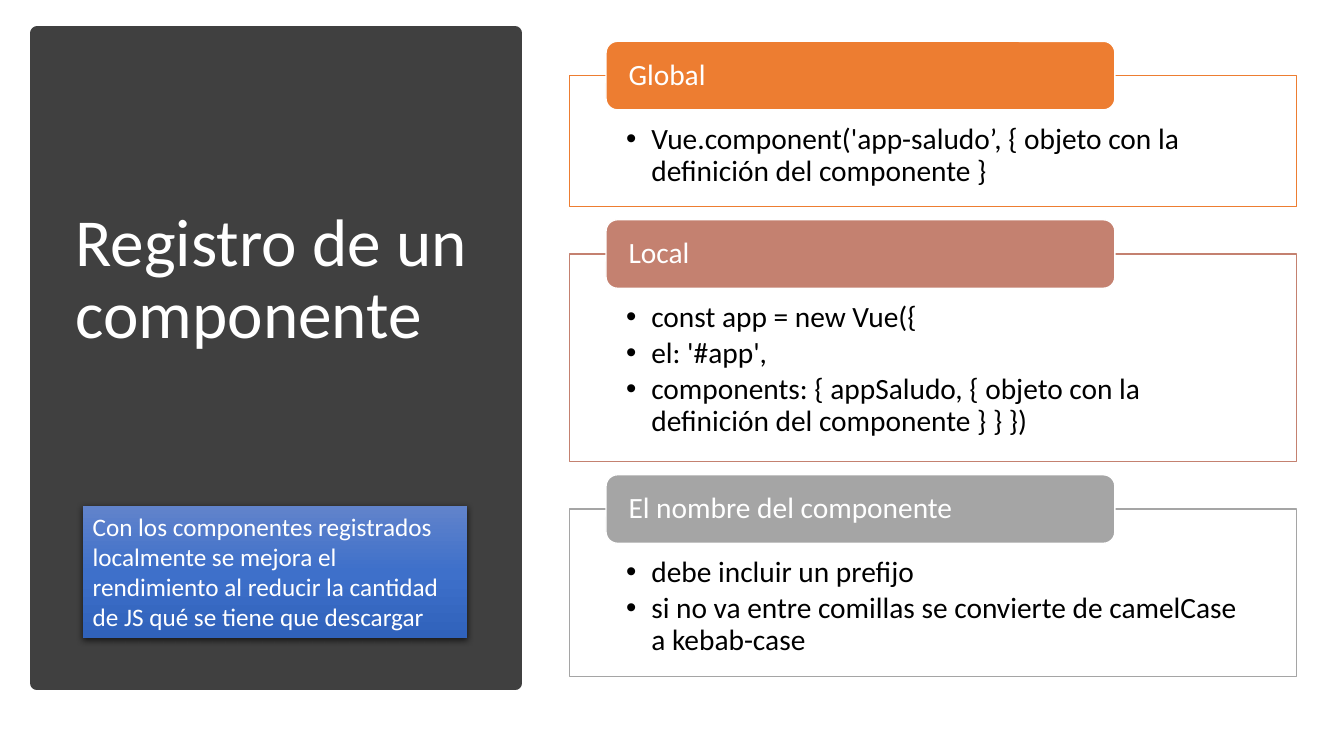
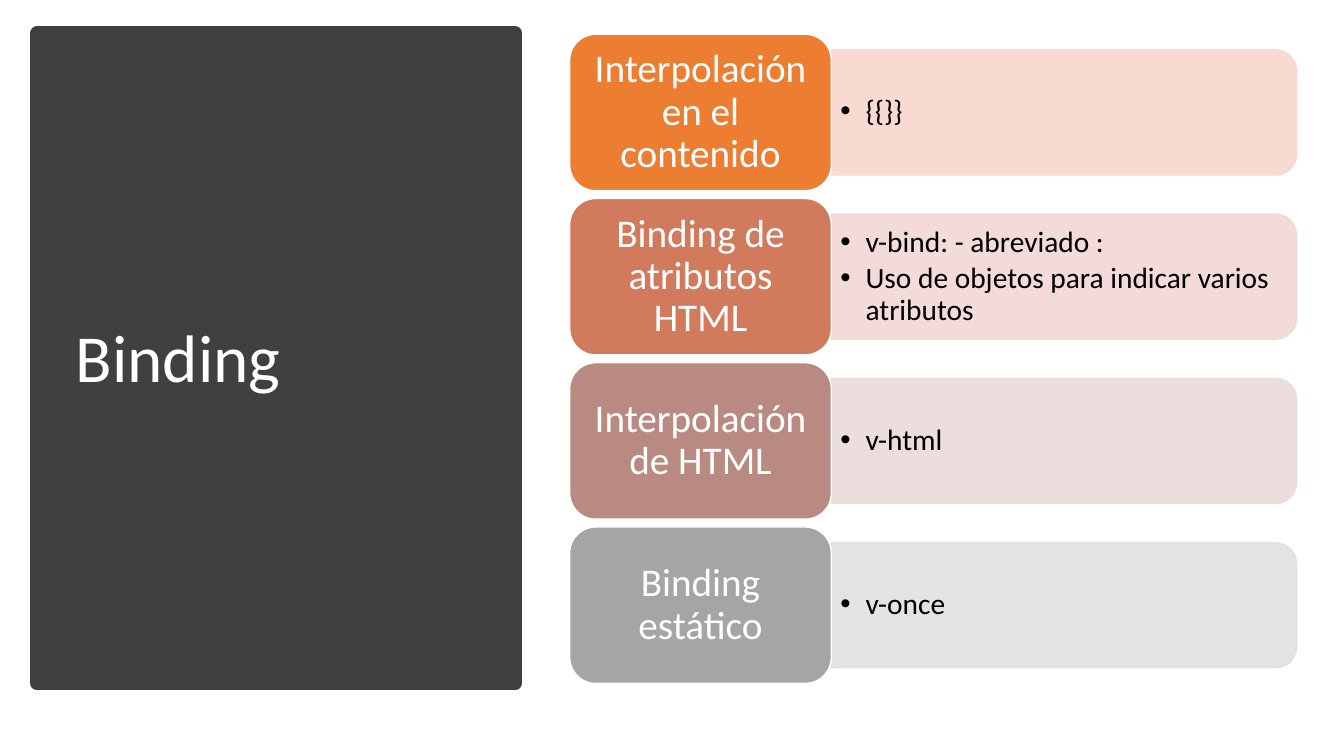
from collections import namedtuple

from lxml import etree
from pptx import Presentation
from pptx import util as u
from pptx.dml.color import RGBColor
from pptx.enum import shapes, text
from pptx.oxml import parse_xml
from pptx.oxml.ns import nsdecls, qn

WHITE = RGBColor(0xFF, 0xFF, 0xFF)
BLACK = RGBColor(0x00, 0x00, 0x00)
DARK = RGBColor(0x40, 0x40, 0x40)
ORANGE = RGBColor(0xED, 0x7D, 0x31)
TERRACOTTA = RGBColor(0xD1, 0x7B, 0x5C)
ROSE = RGBColor(0xC4, 0x81, 0x70)
MAUVE = RGBColor(0xB9, 0x8A, 0x82)
GRAY = RGBColor(0xA5, 0xA5, 0xA5)
PALE_ORANGE = RGBColor(0xF8, 0xD7, 0xCE)
PALE_TERRACOTTA = RGBColor(0xF1, 0xD8, 0xD4)
PALE_MAUVE = RGBColor(0xE9, 0xDB, 0xDA)
PALE_GRAY = RGBColor(0xE1, 0xE1, 0xE1)
NOTE_GRADIENT = [(0, "6183CB"), (50, "3E70CA"), (100, "3062BB")]

FONT = "Calibri"
MIDDLE, TOP = text.MSO_ANCHOR.MIDDLE, text.MSO_ANCHOR.TOP
LEFT, CENTER = text.PP_ALIGN.LEFT, text.PP_ALIGN.CENTER
KIND = shapes.MSO_SHAPE

# Regions in inches
Box = namedtuple("Box", "x y w h")
SLIDE = Box(0, 0, 13.33, 7.5)
BAND = Box(0.37, 0.33, 4.74, 6.45)
CARDS = Box(5.65, 0.41, 7.21, 6.29)
ROWS = Box(5.65, 0.34, 7.21, 6.44)
NOTE = Box(0.82, 5.02, 3.81, 1.31)


def emu(box):
    return [u.Inches(v) for v in box]


def add_shape(slide, kind, box, fill, line, width=1):
    sp = slide.shapes.add_shape(kind, *emu(box))
    sp.shadow.inherit = False
    sp.fill.solid()
    sp.fill.fore_color.rgb = fill
    sp.line.color.rgb = line
    sp.line.width = u.Pt(width)
    return sp


def set_alpha(sp, percent):
    for color in sp._element.spPr.iter(qn("a:srgbClr")):
        etree.SubElement(color, qn("a:alpha"), val=str(percent * 1000))


def add_bullet(p):
    pPr = p._p.get_or_add_pPr()
    pPr.set("marL", str(u.Inches(0.25)))
    pPr.set("indent", str(-u.Inches(0.25)))
    etree.SubElement(pPr, qn("a:buFont"), typeface="Arial")
    etree.SubElement(pPr, qn("a:buChar"), char="•")


def write(sp, lines, size, color, insets=(0.1, 0.05, 0.1, 0.05), anchor=MIDDLE,
          align=LEFT, bullets=False, spacing=0.9):
    tf = sp.text_frame
    tf.word_wrap = True
    tf.vertical_anchor = anchor
    tf.margin_left, tf.margin_top, tf.margin_right, tf.margin_bottom = emu(insets)
    for i, line in enumerate(lines):
        p = tf.add_paragraph() if i else tf.paragraphs[0]
        p.alignment = align
        p.line_spacing = spacing
        if bullets:
            p.space_after = u.Pt(3)
            add_bullet(p)
        r = p.add_run()
        r.text = line
        r.font.name = FONT
        r.font.size = u.Pt(size)
        r.font.color.rgb = color


def add_titled_slide(prs, title, title_height):
    """Slide with the dark band on the left and the title over it."""
    slide = prs.slides.add_slide(prs.slide_layouts[5])
    band = add_shape(slide, KIND.RECTANGLE, BAND, DARK, DARK, 10)
    sp = slide.shapes.title
    sp._element.addprevious(band._element)
    sp.left, sp.top, sp.width, sp.height = emu(
        Box(BAND.x + 0.28, BAND.y + 0.37, 4.16, title_height))
    write(sp, [title], 48, WHITE)
    return slide


def add_cards(slide, box, cards):
    """Outlined frames, each with a tab across its top edge."""
    tab_h, gap = 0.68, 0.13
    y = box.y
    for heading, color, frame_h, lines in cards:
        frame = add_shape(slide, KIND.RECTANGLE,
                          Box(box.x, y + tab_h / 2, box.w, frame_h), WHITE, color)
        write(frame, lines, 21, BLACK, (0.56, 0.48, 0.56, 0.16), TOP, bullets=True)
        tab = add_shape(slide, KIND.ROUNDED_RECTANGLE,
                        Box(box.x + 0.05 * box.w, y, 0.7 * box.w, tab_h), color, WHITE)
        write(tab, [heading], 21, WHITE, (0.19, 0, 0.19, 0))
        y += tab_h / 2 + frame_h + gap


def add_note(slide, box, message):
    """Gradient box with a soft shadow."""
    sp = slide.shapes.add_shape(KIND.RECTANGLE, *emu(box))
    sp.line.fill.background()
    stops = "".join(f'<a:gs pos="{pos * 1000}"><a:srgbClr val="{color}"/></a:gs>'
                    for pos, color in NOTE_GRADIENT)
    spPr = sp._element.spPr
    spPr.find(qn("a:ln")).addprevious(parse_xml(
        f'<a:gradFill {nsdecls("a")}><a:gsLst>{stops}</a:gsLst>'
        '<a:lin ang="5400000" scaled="0"/></a:gradFill>'))
    spPr.append(parse_xml(
        f'<a:effectLst {nsdecls("a")}><a:outerShdw blurRad="{u.Pt(4.5)}" '
        f'dist="{u.Pt(1.5)}" dir="5400000" algn="ctr" rotWithShape="0">'
        '<a:srgbClr val="000000"><a:alpha val="63000"/></a:srgbClr>'
        '</a:outerShdw></a:effectLst>'))
    write(sp, [message], 18, WHITE, anchor=TOP, spacing=1.0)


def add_rows(slide, box, rows):
    """Rounded labels, each with a pale panel to its right."""
    n = len(rows)
    row_h = box.h / (n + 0.05 * (n - 1))
    label_w = 0.36 * box.w
    panel_w, panel_h = box.w - label_w, 0.8 * row_h
    panel_x = box.x + label_w
    for i, (heading, color, pale, lines) in enumerate(rows):
        y = box.y + i * 1.05 * row_h
        # The panel is turned so that its rounded corners face right
        turned = Box(panel_x + (panel_w - panel_h) / 2, y + (row_h - panel_w) / 2,
                     panel_h, panel_w)
        panel = add_shape(slide, KIND.ROUND_2_SAME_RECTANGLE, turned, pale, pale)
        panel.rotation = 90
        set_alpha(panel, 90)
        body = slide.shapes.add_textbox(*emu(
            Box(panel_x, y + 0.14 * row_h, panel_w - 0.06, 0.72 * row_h)))
        write(body, lines, 21, BLACK, (0.09, 0.04, 0.09, 0.04), bullets=True)
        label = add_shape(slide, KIND.ROUNDED_RECTANGLE,
                          Box(box.x, y, label_w, row_h), color, WHITE)
        write(label, [heading], 28, WHITE, (0.12, 0.06, 0.12, 0.06), align=CENTER)


def main():
    prs = Presentation()
    prs.slide_width, prs.slide_height = u.Inches(SLIDE.w), u.Inches(SLIDE.h)

    # Component registration
    slide = add_titled_slide(prs, "Registro de un componente", 4.17)
    add_cards(slide, CARDS, [
        ("Global", ORANGE, 1.3,
         ["Vue.component('app-saludo’, { objeto con la definición del componente }"]),
        ("Local", ROSE, 2.06,
         ["const app = new Vue({", "el: '#app',",
          "components: { appSaludo, { objeto con la definición del componente } } })"]),
        ("El nombre del componente", GRAY, 1.66,
         ["debe incluir un prefijo",
          "si no va entre comillas se convierte de camelCase a kebab-case"]),
    ])
    add_note(slide, NOTE, "Con los componentes registrados localmente se mejora el "
             "rendimiento al reducir la cantidad de JS qué se tiene que descargar")

    # Binding
    slide = add_titled_slide(prs, "Binding", 5.75)
    add_rows(slide, ROWS, [
        ("Interpolación en el contenido", ORANGE, PALE_ORANGE, ["{{}}"]),
        ("Binding de atributos HTML", TERRACOTTA, PALE_TERRACOTTA,
         ["v-bind: - abreviado :", "Uso de objetos para indicar varios atributos"]),
        ("Interpolación de HTML", MAUVE, PALE_MAUVE, ["v-html"]),
        ("Binding estático", GRAY, PALE_GRAY, ["v-once"]),
    ])

    prs.save("out.pptx")


if __name__ == "__main__":
    main()
